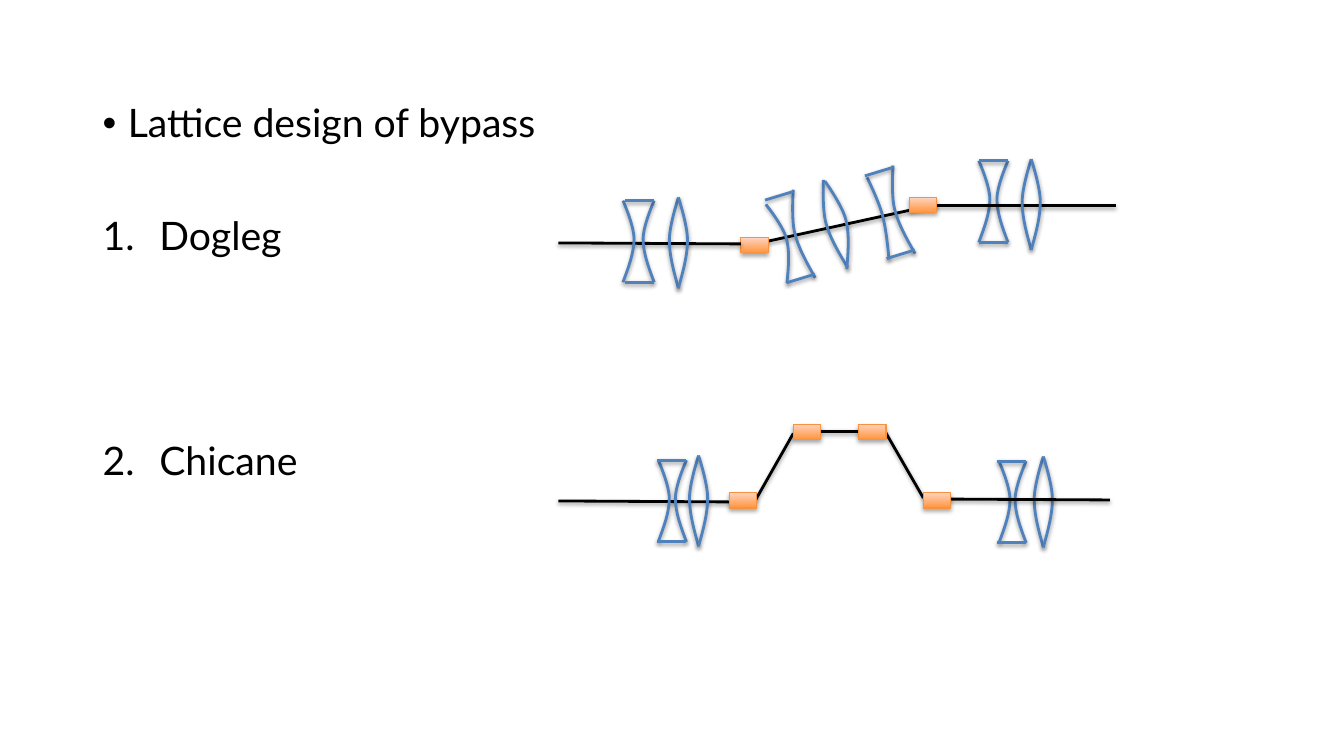
from lxml.etree import SubElement
from pptx import Presentation
from pptx.dml.color import RGBColor
from pptx.enum.shapes import MSO_CONNECTOR, MSO_SHAPE
from pptx.oxml.ns import qn
from pptx.util import Inches, Pt

COLUMN = ROW = Inches(0.1)
BLACK = RGBColor(0x00, 0x00, 0x00)
LENS_BLUE = RGBColor(0x4F, 0x81, 0xBD)
MAGNET_EDGE = RGBColor(0xF6, 0x92, 0x40)
MAGNET_DARK = RGBColor(0xFF, 0x95, 0x3E)
MAGNET_LIGHT = RGBColor(0xFF, 0xD2, 0xBD)

RIGHT, LEFT = "right", "left"
ARC_START = (0, 1)
ARC_CURVES = (
    ((0.5, 0.82), (1, 0.64), (1, 0.47)),
    ((1, 0.3), (0, 0), (0, 0)),
)
ARC_WIDTH = 1.1
CAP_WIDTH = 2.9
CONCAVE_HEIGHT = 8.1
CONVEX_WIDTH, CONVEX_HEIGHT = 0.9, 9
TILT = -14


def columns(count):
    return round(count * COLUMN)


def rows(count):
    return round(count * ROW)


def add_shadow(shape, distance=1.6, opacity=38):
    properties = shape.element.spPr
    effects = properties.find(qn("a:effectLst"))
    if effects is None:
        effects = SubElement(properties, qn("a:effectLst"))
    shadow = SubElement(effects, qn("a:outerShdw"), blurRad=str(Pt(3.1)),
                        dist=str(Pt(distance)), dir="5400000", rotWithShape="0")
    color = SubElement(shadow, qn("a:srgbClr"), val=str(BLACK))
    SubElement(color, qn("a:alpha"), val=str(opacity * 1000))


def style_stroke(shape, color):
    shape.line.color.rgb = color
    shape.line.width = Pt(2)
    add_shadow(shape)


def add_line(slide, start, end, color=BLACK):
    line = slide.shapes.add_connector(
        MSO_CONNECTOR.STRAIGHT,
        columns(start[0]), rows(start[1]), columns(end[0]), rows(end[1]))
    style_stroke(line, color)


def add_outline(slide, points, color):
    scaled = [(columns(x), rows(y)) for x, y in points]
    builder = slide.shapes.build_freeform(*scaled[0])
    builder.add_line_segments(scaled[1:], close=False)
    outline = builder.convert_to_shape()
    outline.shadow.inherit = False
    outline.fill.background()
    style_stroke(outline, color)
    return outline


def add_arc(slide, left, top, width, height, bulge, rotation=0):
    def place(point):
        x, y = point
        return width * (x if bulge == RIGHT else 1 - x), height * y

    ends = [place(point) for point in (ARC_START, *(curve[-1] for curve in ARC_CURVES))]
    arc = add_outline(slide, [(left + x, top + y) for x, y in ends], LENS_BLUE)
    for segment, curve in zip(list(arc.element.iter(qn("a:lnTo"))), ARC_CURVES):
        segment.clear()
        segment.tag = qn("a:cubicBezTo")
        for x, y in map(place, curve):
            SubElement(segment, qn("a:pt"), x=str(columns(x)), y=str(rows(y)))
    arc.rotation = rotation


def add_concave_lens(slide, left, top, gap):
    right = left + gap + ARC_WIDTH
    add_arc(slide, left, top, ARC_WIDTH, CONCAVE_HEIGHT, RIGHT)
    add_arc(slide, left + gap, top, ARC_WIDTH, CONCAVE_HEIGHT, LEFT)
    for y in (top, top + CONCAVE_HEIGHT):
        add_line(slide, (right, y), (right - CAP_WIDTH, y), LENS_BLUE)


def add_convex_lens(slide, left, top):
    for offset, bulge in ((0, LEFT), (CONVEX_WIDTH, RIGHT)):
        add_arc(slide, left + offset, top, CONVEX_WIDTH, CONVEX_HEIGHT, bulge)


def add_tilted_concave_lens(slide, left, top, left_arc):
    add_arc(slide, *left_arc, RIGHT, TILT - 1)
    add_arc(slide, left, top, CONVEX_WIDTH, CONVEX_HEIGHT, LEFT, TILT)
    for x, y in ((-0.2, 0.2), (1.95, 8.4)):
        add_line(slide, (left + x, top + y), (left + x - 2.8, top + y + 0.85), LENS_BLUE)


def add_tilted_convex_lens(slide, left, top):
    add_arc(slide, left, top, CONVEX_WIDTH, CONVEX_HEIGHT, LEFT, TILT - 1.4)
    add_arc(slide, left + 0.9, top - 0.1, ARC_WIDTH, CONVEX_HEIGHT, RIGHT, TILT)


def add_magnet(slide, left, top):
    magnet = slide.shapes.add_shape(
        MSO_SHAPE.RECTANGLE, columns(left), rows(top), columns(2.7), rows(1.5))
    magnet.shadow.inherit = False
    magnet.fill.gradient()
    magnet.fill.gradient_angle = 90
    for stop, color, position in zip(
            magnet.fill.gradient_stops, (MAGNET_DARK, MAGNET_LIGHT), (0, 1)):
        stop.color.rgb = color
        stop.position = position
    magnet.line.color.rgb = MAGNET_EDGE
    magnet.line.width = Pt(0.75)
    add_shadow(magnet, distance=1.8, opacity=35)


def add_list_item(paragraph, text, space_before, indent, marker, **marker_settings):
    paragraph.text = text
    paragraph.line_spacing = 0.9
    paragraph.space_before = Pt(space_before)
    font = paragraph.runs[0].font
    font.name = "Lato"
    font.size = Pt(28)
    font.color.rgb = BLACK
    properties = paragraph._p.get_or_add_pPr()
    properties.set("marL", str(columns(indent)))
    properties.set("indent", str(-columns(indent)))
    if marker == "a:buChar":
        SubElement(properties, qn("a:buFont"), typeface="Arial")
    SubElement(properties, qn(marker), **marker_settings)


def add_outline_text(slide):
    box = slide.shapes.add_textbox(columns(9.2), rows(9.8), columns(115), rows(62.6))
    frame = box.text_frame
    frame.word_wrap = True
    add_list_item(frame.paragraphs[0], "Lattice design of bypass", 10, 2.5,
                  "a:buChar", char="•")
    for text, space_before in (("Dogleg", 50.4), ("Chicane", 130.6)):
        add_list_item(frame.add_paragraph(), text, space_before, 5.63,
                      "a:buAutoNum", type="arabicPeriod")


def add_dogleg(slide):
    add_concave_lens(slide, 97.1, 15.95, 1.8)
    add_line(slide, (110.7, 20.4), (92.6, 20.4))
    add_outline(slide, [(92.8, 20.3), (75.4, 24.1)], BLACK)
    add_magnet(slide, 90.2, 19.6)
    add_magnet(slide, 73.5, 23.6)
    add_convex_lens(slide, 101.4, 15.8)
    add_tilted_convex_lens(slide, 82, 17.8)
    add_tilted_concave_lens(slide, 78.9, 18.8, (77, 20, ARC_WIDTH, CONCAVE_HEIGHT))
    add_tilted_concave_lens(slide, 88.8, 16.4, (87.1, 17.4, 0.5, 8.4))
    add_line(slide, (73.5, 24.2), (55.4, 24.1))
    add_concave_lens(slide, 61.8, 19.9, 2)
    add_convex_lens(slide, 66.4, 19.6)


def add_chicane(slide):
    add_concave_lens(slide, 99.1, 45.75, 1.6)
    for start, end in (
            ((91.6, 49.4), (87.8, 42.8)),
            ((74.9, 49.7), (78.7, 43)),
            ((87.9, 42.8), (81.4, 42.8)),
            ((73.4, 49.8), (55.4, 49.7))):
        add_line(slide, start, end)
    for left, top in ((85.2, 42.1), (78.7, 42.1), (72.4, 48.9)):
        add_magnet(slide, left, top)
    add_convex_lens(slide, 102.6, 45.3)
    add_convex_lens(slide, 68.4, 45.2)
    add_concave_lens(slide, 65.3, 45.65, 1.7)
    add_line(slide, (110.1, 49.6), (92, 49.5))
    add_magnet(slide, 91.6, 48.9)


def main():
    presentation = Presentation()
    presentation.slide_width = columns(133.33)
    presentation.slide_height = rows(75)
    slide = presentation.slides.add_slide(presentation.slide_layouts[6])
    add_outline_text(slide)
    add_dogleg(slide)
    add_chicane(slide)
    presentation.save("out.pptx")


if __name__ == "__main__":
    main()
